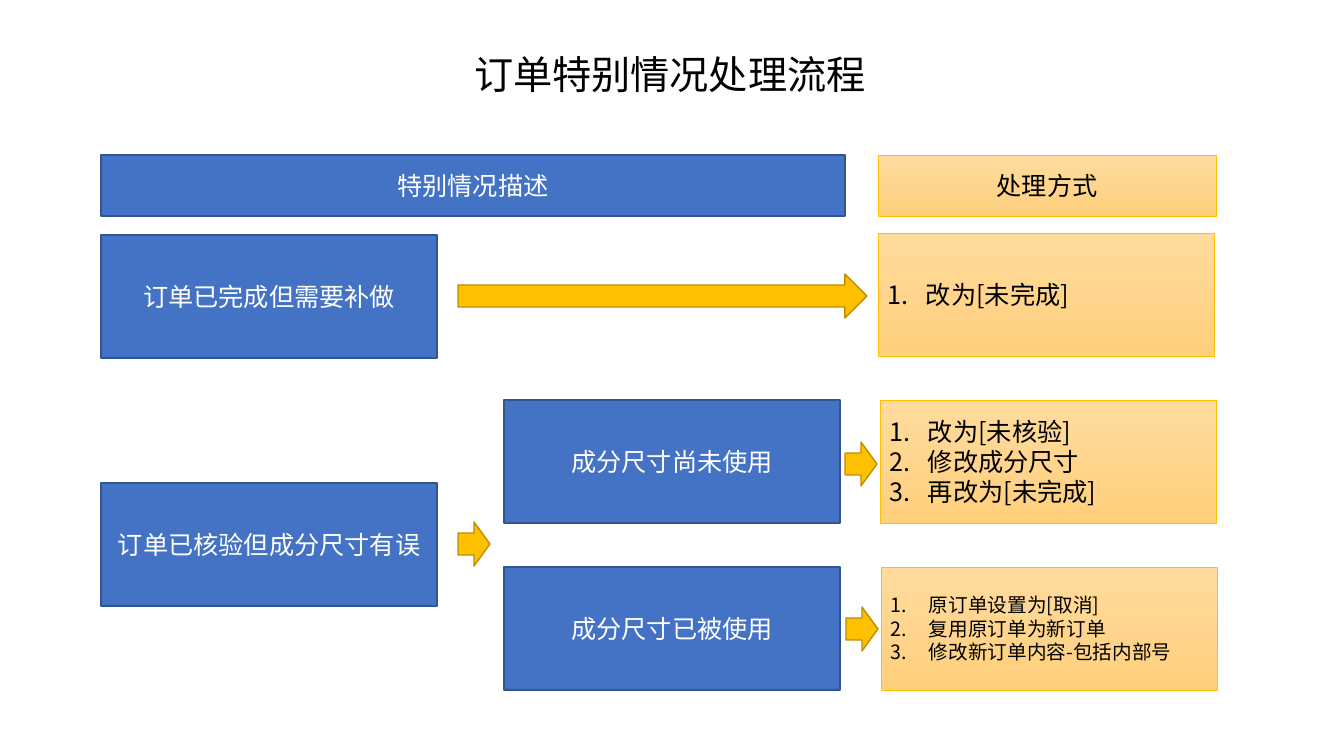
"""Build the slide on handling special order cases."""
import dataclasses

import lxml.etree
import pptx
import pptx.dml.color
import pptx.enum.shapes
import pptx.enum.text
import pptx.oxml.ns
import pptx.util

RGBColor = pptx.dml.color.RGBColor
SHAPES = pptx.enum.shapes.MSO_SHAPE
ALIGN = pptx.enum.text.PP_ALIGN
ANCHOR = pptx.enum.text.MSO_ANCHOR

BLACK = RGBColor(0x00, 0x00, 0x00)
WHITE = RGBColor(0xFF, 0xFF, 0xFF)
BLUE = RGBColor(0x44, 0x72, 0xC4)
BLUE_EDGE = RGBColor(0x32, 0x54, 0x91)
GOLD = RGBColor(0xFF, 0xC0, 0x00)
GOLD_EDGE = RGBColor(0xBD, 0x8E, 0x00)
SAND_TOP = RGBColor(0xFF, 0xDB, 0x9E)
SAND_BOTTOM = RGBColor(0xFF, 0xD0, 0x7C)

FONT = "Noto Sans CJK SC"
EMU_PER_PIXEL = 914400 / 100.8
CARD_WIDTH, CARD_HEIGHT = 336, 123
HEADER_TOP, HEADER_HEIGHT = 155, 61
ARROW_WIDTH, ARROW_HEIGHT = 32, 44
CASE_LEFT, DETAIL_LEFT, ACTION_LEFT = 101, 504, 878
NUMBER_INDENT = 38


@dataclasses.dataclass(frozen=True)
class Card:
    """A rectangle with centred text or numbered steps."""
    left: int
    top: int
    lines: tuple[str, ...]
    width: int = CARD_WIDTH
    height: int = CARD_HEIGHT
    is_action: bool = False
    numbered: bool = False
    size: int = 18


@dataclasses.dataclass(frozen=True)
class Arrow:
    """A block arrow pointing right."""
    left: int
    top: int
    width: int = ARROW_WIDTH


CARDS = (
    Card(CASE_LEFT, HEADER_TOP, ("特别情况描述",), 744, HEADER_HEIGHT),
    Card(ACTION_LEFT, HEADER_TOP, ("处理方式",), 338, HEADER_HEIGHT, is_action=True),
    Card(CASE_LEFT, 235, ("订单已完成但需要补做",)),
    Card(CASE_LEFT, 483, ("订单已核验但成分尺寸有误",)),
    Card(DETAIL_LEFT, 400, ("成分尺寸尚未使用",)),
    Card(DETAIL_LEFT, 567, ("成分尺寸已被使用",)),
    Card(ACTION_LEFT, 233, ("改为[未完成]",), is_action=True, numbered=True),
    Card(ACTION_LEFT + 2, 400, ("改为[未核验]", "修改成分尺寸", "再改为[未完成]"),
         is_action=True, numbered=True),
    Card(ACTION_LEFT + 3, 567,
         ("原订单设置为[取消]", "复用原订单为新订单", "修改新订单内容-包括内部号"),
         is_action=True, numbered=True, size=14),
)
ARROWS = (Arrow(458, 274, 409), Arrow(458, 522), Arrow(845, 442), Arrow(846, 607))


def px(pixels: int) -> pptx.util.Emu:
    """Turn pixels into EMU."""
    return pptx.util.Emu(round(pixels * EMU_PER_PIXEL))


def add_span(para, text: str, size: int, color: RGBColor) -> None:
    """Add one formatted run to a paragraph."""
    span = para.add_run()
    span.text = text
    span.font.size = pptx.util.Pt(size)
    span.font.name = FONT
    span.font.color.rgb = color
    east_asian = lxml.etree.SubElement(span.font._element, pptx.oxml.ns.qn("a:ea"))
    east_asian.set("typeface", FONT)


def number_paragraph(para) -> None:
    """Give a paragraph an automatic number and a hanging indent."""
    properties = para._p.get_or_add_pPr()
    properties.set("marL", str(px(NUMBER_INDENT)))
    properties.set("indent", str(-px(NUMBER_INDENT)))
    number = lxml.etree.SubElement(properties, pptx.oxml.ns.qn("a:buAutoNum"))
    number.set("type", "arabicPeriod")


def add_box(page, kind, left: int, top: int, width: int, height: int,
            edge: RGBColor, edge_width: float):
    """Add an outlined shape without a shadow."""
    box = page.shapes.add_shape(kind, px(left), px(top), px(width), px(height))
    box.shadow.inherit = False
    box.line.color.rgb = edge
    box.line.width = pptx.util.Pt(edge_width)
    return box


def fill_solid(box, color: RGBColor) -> None:
    """Fill a shape with one colour."""
    box.fill.solid()
    box.fill.fore_color.rgb = color


def fill_sand(box) -> None:
    """Fill a shape with the sand gradient from top to bottom."""
    box.fill.gradient()
    box.fill.gradient_angle = 270
    for stop, color in zip(box.fill.gradient_stops, (SAND_TOP, SAND_BOTTOM)):
        stop.color.rgb = color


def add_card(page, card: Card) -> None:
    """Draw a card with its text."""
    edge, edge_width = (GOLD, 0.5) if card.is_action else (BLUE_EDGE, 1)
    box = add_box(page, SHAPES.RECTANGLE, card.left, card.top,
                  card.width, card.height, edge, edge_width)
    if card.is_action:
        fill_sand(box)
    else:
        fill_solid(box, BLUE)
    frame = box.text_frame
    frame.word_wrap = True
    frame.vertical_anchor = ANCHOR.MIDDLE
    for index, line in enumerate(card.lines):
        para = frame.add_paragraph() if index else frame.paragraphs[0]
        para.alignment = ALIGN.LEFT if card.numbered else ALIGN.CENTER
        if card.numbered:
            number_paragraph(para)
        add_span(para, line, card.size, BLACK if card.is_action else WHITE)


def add_arrow(page, arrow: Arrow) -> None:
    """Draw a gold block arrow."""
    box = add_box(page, SHAPES.RIGHT_ARROW, arrow.left, arrow.top,
                  arrow.width, ARROW_HEIGHT, GOLD_EDGE, 1)
    fill_solid(box, GOLD)


def set_title(page, text: str) -> None:
    """Place and format the slide title."""
    title = page.shapes.title
    title.left, title.top, title.width, title.height = map(px, (464, 45, 416, 57))
    frame = title.text_frame
    frame.word_wrap = False
    frame.auto_size = pptx.enum.text.MSO_AUTO_SIZE.SHAPE_TO_FIT_TEXT
    frame.vertical_anchor = ANCHOR.TOP
    para = frame.paragraphs[0]
    para.alignment = ALIGN.LEFT
    add_span(para, text, 28, BLACK)


def main() -> None:
    """Build and save the deck."""
    deck = pptx.Presentation()
    deck.slide_width, deck.slide_height = px(1344), px(756)
    page = deck.slides.add_slide(deck.slide_layouts.get_by_name("Title Only"))
    set_title(page, "订单特别情况处理流程")
    for card in CARDS:
        add_card(page, card)
    for arrow in ARROWS:
        add_arrow(page, arrow)
    deck.save("out.pptx")


main()
